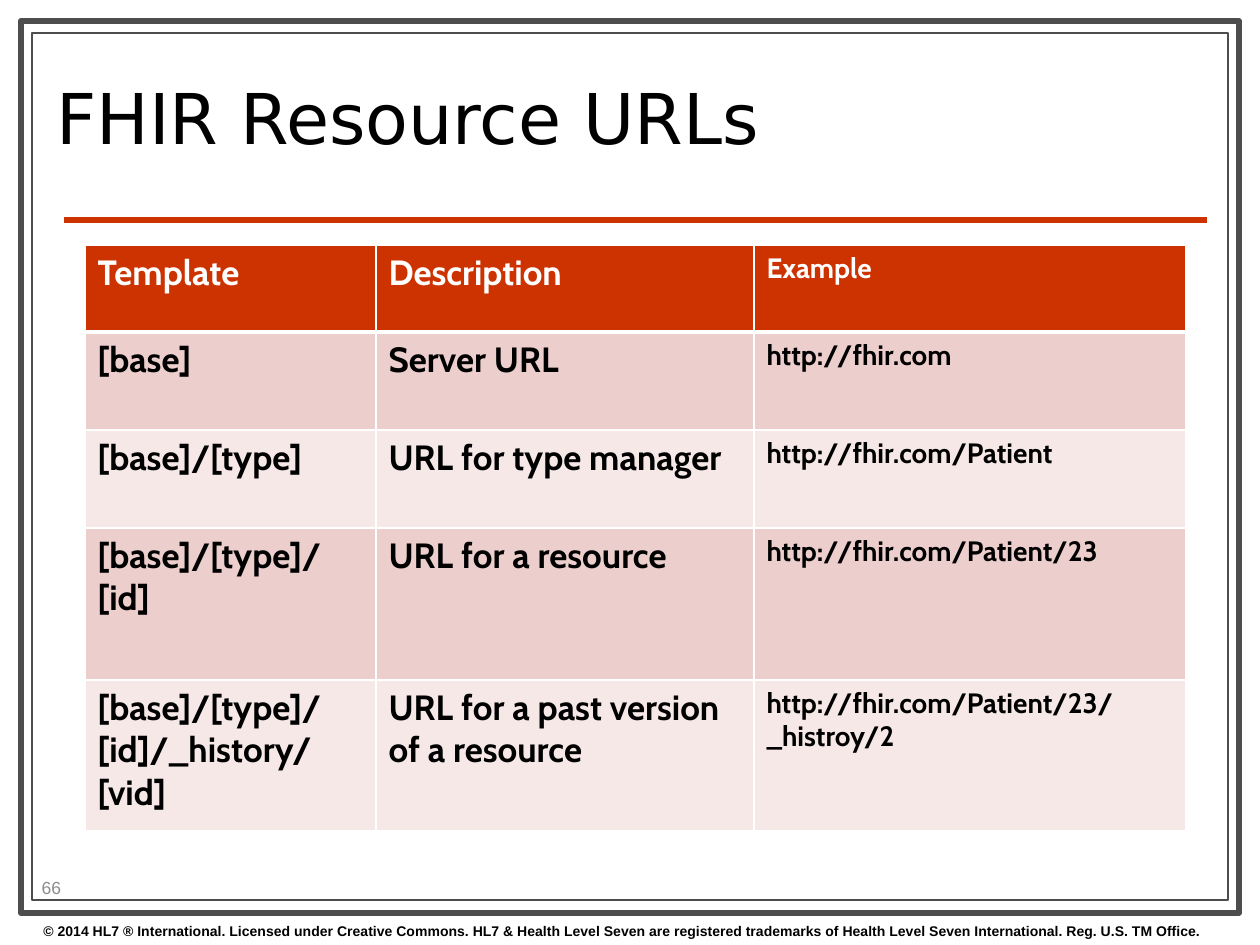
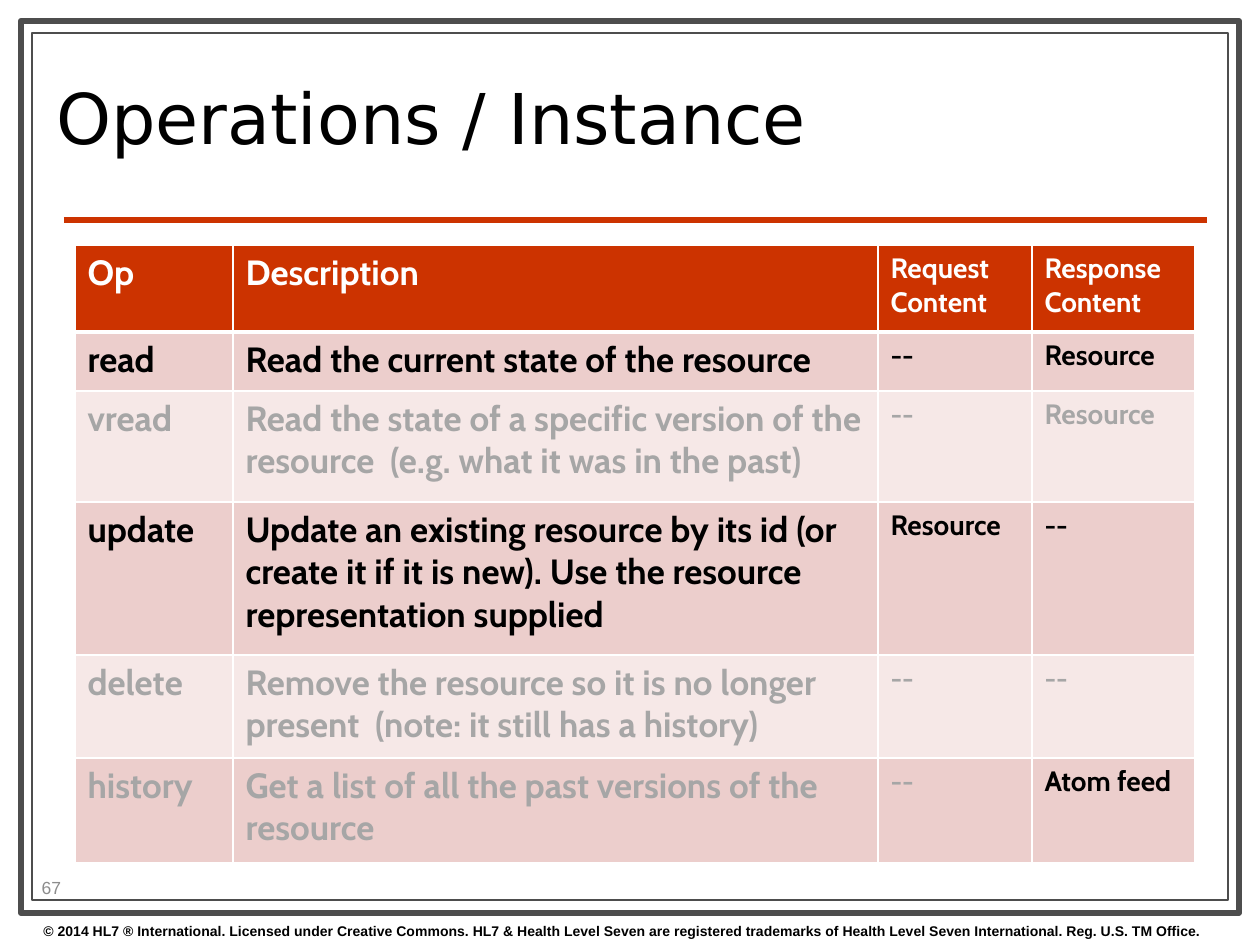
from lxml import etree
from pptx import Presentation
from pptx import util as u
from pptx.dml.color import RGBColor
from pptx.enum import shapes, text
from pptx.oxml import ns

COLORS = {
    "white": "FFFFFF", "black": "000000", "frame": "4D4D4D", "accent": "CC3300",
    "band_dark": "ECCECC", "band_light": "F6E8E7", "muted": "A6A6A6", "page": "8C8C8C",
}
COPYRIGHT = ("© 2014 HL7 ® International. Licensed under Creative Commons. "
             "HL7 & Health Level Seven are registered trademarks of "
             "Health Level Seven International. Reg. U.S. TM Office.")
FRAMES = [((21, 21, 1218, 892), 3.5), ((32, 33, 1196, 867), 0.75)]
TITLE_BOX = (44, 45, 903, 159)
RULE = (64, 220, 1207, 220)
COPYRIGHT_BOX = (31, 916, 1200, 29)
PAGE_BOX = (20, 856, 63, 63)
BODY_SIZE, SMALL_SIZE = 20, 16

URLS = {
    "title": "FHIR Resource URLs",
    "page": 66,
    "origin": (85, 245),
    "columns": [291, 378, 432],
    "heights": [87, 98, 98, 152, 151],
    "rows": [
        ["Template", "Description", "Example"],
        ["[base]", "Server URL", "http://fhir.com"],
        ["[base]/[type]", "URL for type manager", "http://fhir.com/Patient"],
        ["[base]/[type]/[id]", "URL for a resource", "http://fhir.com/Patient/23"],
        ["[base]/[type]/[id]/_history/[vid]", "URL for a past version of a resource",
         "http://fhir.com/Patient/23/_histroy/2"],
    ],
    "muted": [],
}
OPERATIONS = {
    "title": "Operations / Instance",
    "page": 67,
    "origin": (75, 245),
    "columns": [158, 645, 154, 163],
    "heights": [87, 59, 111, 153, 103, 105],
    "rows": [
        ["Op", "Description", "Request Content", "Response Content"],
        ["read", "Read the current state of the resource", "--", "Resource"],
        ["vread", "Read the state of a specific version of the resource  "
         "(e.g. what it was in the past)", "--", "Resource"],
        ["update", "Update an existing resource by its id (or create it if it is new). "
         "Use the resource representation supplied", "Resource", "--"],
        ["delete", "Remove the resource so it is no longer present  "
         "(note: it still has a history)", "--", "--"],
        ["history", "Get a list of all the past versions of the resource", "--", "Atom feed"],
    ],
    "muted": ["vread", "delete", "history"],
}
ALWAYS_ACTIVE = "Atom feed"


def px(length):
    return u.Emu(length * 914400 // 126)


def place(box):
    return [px(length) for length in box]


def rgb(name):
    return RGBColor.from_string(COLORS[name])


def write(frame, words, size, font, color, bold=False, align=text.PP_ALIGN.LEFT):
    frame.text = words
    paragraph = frame.paragraphs[0]
    paragraph.alignment = align
    style = paragraph.runs[0].font
    style.size, style.name, style.bold = u.Pt(size), font, bold
    style.color.rgb = rgb(color)
    return paragraph


def draw_frame(slide):
    for box, weight in FRAMES:
        border = slide.shapes.add_shape(shapes.MSO_SHAPE.RECTANGLE, *place(box))
        border.shadow.inherit = False
        border.fill.solid()
        border.fill.fore_color.rgb = rgb("white")
        border.line.color.rgb = rgb("frame")
        border.line.width = u.Pt(weight)
    rule = slide.shapes.add_connector(shapes.MSO_CONNECTOR.STRAIGHT, *place(RULE))
    rule.line.color.rgb = rgb("accent")
    rule.line.width = u.Pt(3)
    etree.SubElement(rule._element.spPr, ns.qn("a:effectLst"))


def draw_title(slide, words):
    title = slide.shapes.title
    slide.shapes._spTree.append(title._element)
    title.left, title.top, title.width, title.height = place(TITLE_BOX)
    frame = title.text_frame
    frame.auto_size = text.MSO_AUTO_SIZE.NONE
    frame.vertical_anchor = text.MSO_ANCHOR.MIDDLE
    write(frame, words, 40, "DejaVu Sans", "black").line_spacing = 0.8


def draw_footer(slide, page):
    notice = slide.shapes.add_textbox(*place(COPYRIGHT_BOX)).text_frame
    notice.word_wrap = True
    write(notice, COPYRIGHT, 8, "Arial", "black", bold=True)

    number = slide.shapes.add_shape(shapes.MSO_SHAPE.OVAL, *place(PAGE_BOX))
    number.shadow.inherit = False
    number.fill.background()
    number.line.fill.background()
    frame = number.text_frame
    frame.word_wrap = False
    frame.vertical_anchor = text.MSO_ANCHOR.MIDDLE
    frame.margin_left = frame.margin_right = 0
    write(frame, str(page), 10, "Arial", "page", align=text.PP_ALIGN.CENTER)


def style_cell(cell, fill, header):
    properties = cell._tc.get_or_add_tcPr()
    for side in ("lnL", "lnR", "lnT", "lnB"):
        weight = 3 if header and side == "lnB" else 1
        border = etree.SubElement(properties, ns.qn(f"a:{side}"), w=str(u.Pt(weight)))
        paint = etree.SubElement(border, ns.qn("a:solidFill"))
        etree.SubElement(paint, ns.qn("a:srgbClr"), val=COLORS["white"])
    cell.fill.solid()
    cell.fill.fore_color.rgb = rgb(fill)


def draw_table(slide, content):
    columns, heights, rows = content["columns"], content["heights"], content["rows"]
    box = (*content["origin"], sum(columns), sum(heights))
    table = slide.shapes.add_table(len(rows), len(columns), *place(box)).table
    for column, width in zip(table.columns, columns):
        column.width = px(width)
    for r, (row, height) in enumerate(zip(rows, heights)):
        table.rows[r].height = px(height)
        header = r == 0
        fill = "accent" if header else "band_dark" if r % 2 else "band_light"
        for c, words in enumerate(row):
            muted = row[0] in content["muted"] and words != ALWAYS_ACTIVE
            color = "white" if header else "muted" if muted else "black"
            size = BODY_SIZE if c < 2 else SMALL_SIZE
            cell = table.cell(r, c)
            style_cell(cell, fill, header)
            write(cell.text_frame, words, size, "Cabin", color, bold=True)


def build_slide(deck, content):
    slide = deck.slides.add_slide(deck.slide_layouts[5])
    draw_frame(slide)
    draw_title(slide, content["title"])
    draw_table(slide, content)
    draw_footer(slide, content["page"])


def main():
    deck = Presentation()
    deck.slide_width, deck.slide_height = px(1260), px(945)
    for content in (URLS, OPERATIONS):
        build_slide(deck, content)
    deck.save("out.pptx")


if __name__ == "__main__":
    main()
